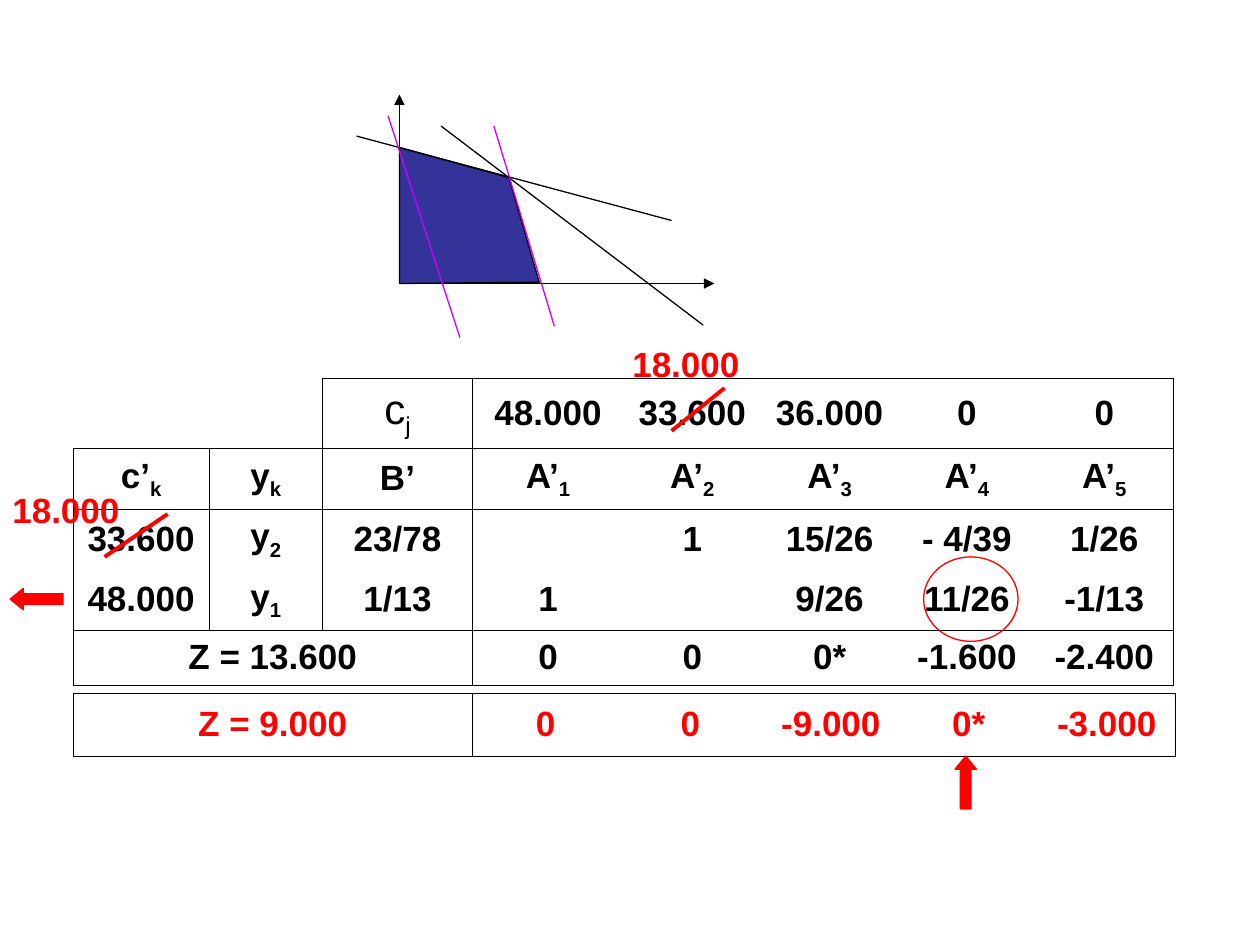
from lxml.etree import SubElement
from pptx import Presentation
from pptx.dml.color import RGBColor
from pptx.enum.shapes import MSO_CONNECTOR, MSO_SHAPE
from pptx.enum.text import MSO_ANCHOR, MSO_AUTO_SIZE, PP_ALIGN
from pptx.oxml.ns import qn
from pptx.util import Inches, Pt

BLACK = RGBColor(0x00, 0x00, 0x00)
RED = RGBColor(0xFF, 0x00, 0x00)
PURPLE = RGBColor(0xCC, 0x00, 0xFF)
INDIGO = RGBColor(0x33, 0x33, 0x99)

# Content: an underscore starts a subscript
SIMPLEX_ROWS = [
    ["", "", "c_j", "48.000", "33.600", "36.000", "0", "0"],
    ["c’_k", "y_k", "B’", "A’_1", "A’_2", "A’_3", "A’_4", "A’_5"],
    ["33.600", "y_2", "23/78", "", "1", "15/26", "- 4/39", "1/26"],
    ["48.000", "y_1", "1/13", "1", "", "9/26", "11/26", "-1/13"],
    ["Z = 13.600", "", "", "0", "0", "0*", "-1.600", "-2.400"],
]
SIMPLEX_WIDTHS = [1.08, 0.9, 1.19, 1.2, 1.09, 1.09, 1.09, 1.09]
SIMPLEX_HEIGHTS = [0.56, 0.48, 0.48, 0.48, 0.44]
NEW_Z_ROW = [["Z = 9.000", "0", "0", "-9.000", "0*", "-3.000"]]
NEW_Z_WIDTHS = [3.17, 1.16, 1.14, 1.09, 1.1, 1.09]

ORIGIN = (3.17, 2.25)
FEASIBLE_REGION = [ORIGIN, (3.17, 1.17), (4.04, 1.41), (4.21, 2), (4.28, 2.24)]
AXES = [(3.17, 0.75), (5.67, 2.25)]
# start, end, colour, width
GRAPH_LINES = [
    ((2.83, 1.08), (5.33, 1.75), BLACK, 0.75),
    ((3.5, 1), (5.58, 2.58), BLACK, 0.75),
    ((4.4, 2.59), (3.92, 1), PURPLE, 0.75),
    ((3.65, 2.68), (3.08, 0.92), PURPLE, 0.75),
]
STRIKES = [
    ((5.33, 3.42), (5.75, 3.08), RED, 2.25),
    ((0.83, 4.42), (1.33, 4.08), RED, 2.25),
]
NEW_COSTS = [("18.000", 4.92, 2.67, 1.5), ("18.000", 0, 3.83, 1.67)]
# preset, bounds, filled
MARKS = [
    (MSO_SHAPE.UP_ARROW, (7.58, 6, 0.17, 0.42), True),
    (MSO_SHAPE.OVAL, (7.33, 4.42, 0.75, 0.67), False),
    (MSO_SHAPE.LEFT_ARROW, (0.08, 4.67, 0.42, 0.17), True),
]


def write(paragraph, text, color, size=20, bold=True):
    for level, part in enumerate(text.split("_")):
        run = paragraph.add_run()
        run.text = part
        formats = {"name": "Arial", "size": Pt(size), "bold": bold}
        for attribute, value in formats.items():
            setattr(run.font, attribute, value)
        run.font.color.rgb = color
        if level:
            run.font._element.set("baseline", "-25000")


def add_borders(cell, sides):
    properties = cell._tc.get_or_add_tcPr()
    for side in "LRTB":
        border = SubElement(properties, qn(f"a:ln{side}"), w=str(Pt(0.45)))
        if side in sides:
            fill = SubElement(border, qn("a:solidFill"))
            SubElement(fill, qn("a:srgbClr"), val=str(BLACK))
        else:
            SubElement(border, qn("a:noFill"))


def add_grid(slide, rows, left, top, widths, heights, color, sides_of):
    frame = slide.shapes.add_table(
        len(rows), len(widths), Inches(left), Inches(top),
        Inches(sum(widths)), Inches(sum(heights)))
    grid = frame.table
    grid.first_row = grid.horz_banding = False
    # "No Style, No Grid"
    for style in frame.element.iter(qn("a:tableStyleId")):
        style.text = "{2D5ABB26-0587-4C30-8999-92F81FD0307C}"
    for column, width in zip(grid.columns, widths):
        column.width = Inches(width)
    for grid_row, height in zip(grid.rows, heights):
        grid_row.height = Inches(height)
    cell_format = {"vertical_anchor": MSO_ANCHOR.MIDDLE}
    for side in ("left", "right", "top", "bottom"):
        cell_format[f"margin_{side}"] = Inches(0.05)
    for r, row in enumerate(rows):
        for c, text in enumerate(row):
            cell = grid.cell(r, c)
            for attribute, value in cell_format.items():
                setattr(cell, attribute, value)
            add_borders(cell, sides_of(r, c))
            cell.fill.background()
            paragraph = cell.text_frame.paragraphs[0]
            paragraph.alignment = PP_ALIGN.CENTER
            if text == "c_j":
                write(paragraph, text, color, size=24, bold=False)
            elif text:
                write(paragraph, text, color)
    return grid


def simplex_sides(r, c):
    if r == 0 and c < 2:
        return "B" if c == 0 else "RB"
    sides = {2: "T", 3: "B"}.get(r, "TB")
    if c <= 3:
        sides += "L"
    if c < 3 or c == 7:
        sides += "R"
    return sides


def new_z_sides(r, c):
    return {0: "LRTB", 1: "LTB", 5: "RTB"}.get(c, "TB")


def add_line(slide, start, end, color, width, arrow=False):
    line = slide.shapes.add_connector(
        MSO_CONNECTOR.STRAIGHT, *(Inches(v) for v in start + end))
    line.line.color.rgb = color
    line.line.width = Pt(width)
    if arrow:
        SubElement(line.line._get_or_add_ln(), qn("a:tailEnd"), type="triangle")
    SubElement(line.element.spPr, qn("a:effectLst"))


def style_shape(shape, fill, line):
    shape.shadow.inherit = False
    if fill is None:
        shape.fill.background()
    else:
        shape.fill.solid()
        shape.fill.fore_color.rgb = fill
    shape.line.color.rgb = line
    shape.line.width = Pt(0.75)


def main():
    deck = Presentation()
    deck.slide_width, deck.slide_height = Inches(10), Inches(7.5)
    slide = deck.slides.add_slide(deck.slide_layouts[6])

    # Simplex table
    simplex = add_grid(slide, SIMPLEX_ROWS, 0.58, 3, SIMPLEX_WIDTHS,
                       SIMPLEX_HEIGHTS, BLACK, simplex_sides)
    simplex.cell(4, 0).merge(simplex.cell(4, 2))

    # Feasible region with axes and constraints
    corners = [(Inches(x), Inches(y)) for x, y in FEASIBLE_REGION]
    builder = slide.shapes.build_freeform(*corners[0])
    builder.add_line_segments(corners[1:], close=True)
    style_shape(builder.convert_to_shape(), INDIGO, BLACK)
    for axis_end in AXES:
        add_line(slide, ORIGIN, axis_end, BLACK, 0.75, arrow=True)
    for segment in GRAPH_LINES + STRIKES:
        add_line(slide, *segment)

    # Replacement costs
    for cost, left, top, width in NEW_COSTS:
        label = slide.shapes.add_textbox(
            Inches(left), Inches(top), Inches(width), Inches(0.44)).text_frame
        label.word_wrap = True
        label.auto_size = MSO_AUTO_SIZE.SHAPE_TO_FIT_TEXT
        write(label.paragraphs[0], cost, RED)

    # New objective row
    add_grid(slide, NEW_Z_ROW, 0.58, 5.5, NEW_Z_WIDTHS, [0.5], RED, new_z_sides)

    # Pivot marks
    for preset, bounds, filled in MARKS:
        mark = slide.shapes.add_shape(preset, *(Inches(v) for v in bounds))
        style_shape(mark, RED if filled else None, RED)
        if filled:
            mark.adjustments[0], mark.adjustments[1] = 0.5, 0.62

    deck.save("out.pptx")


if __name__ == "__main__":
    main()
